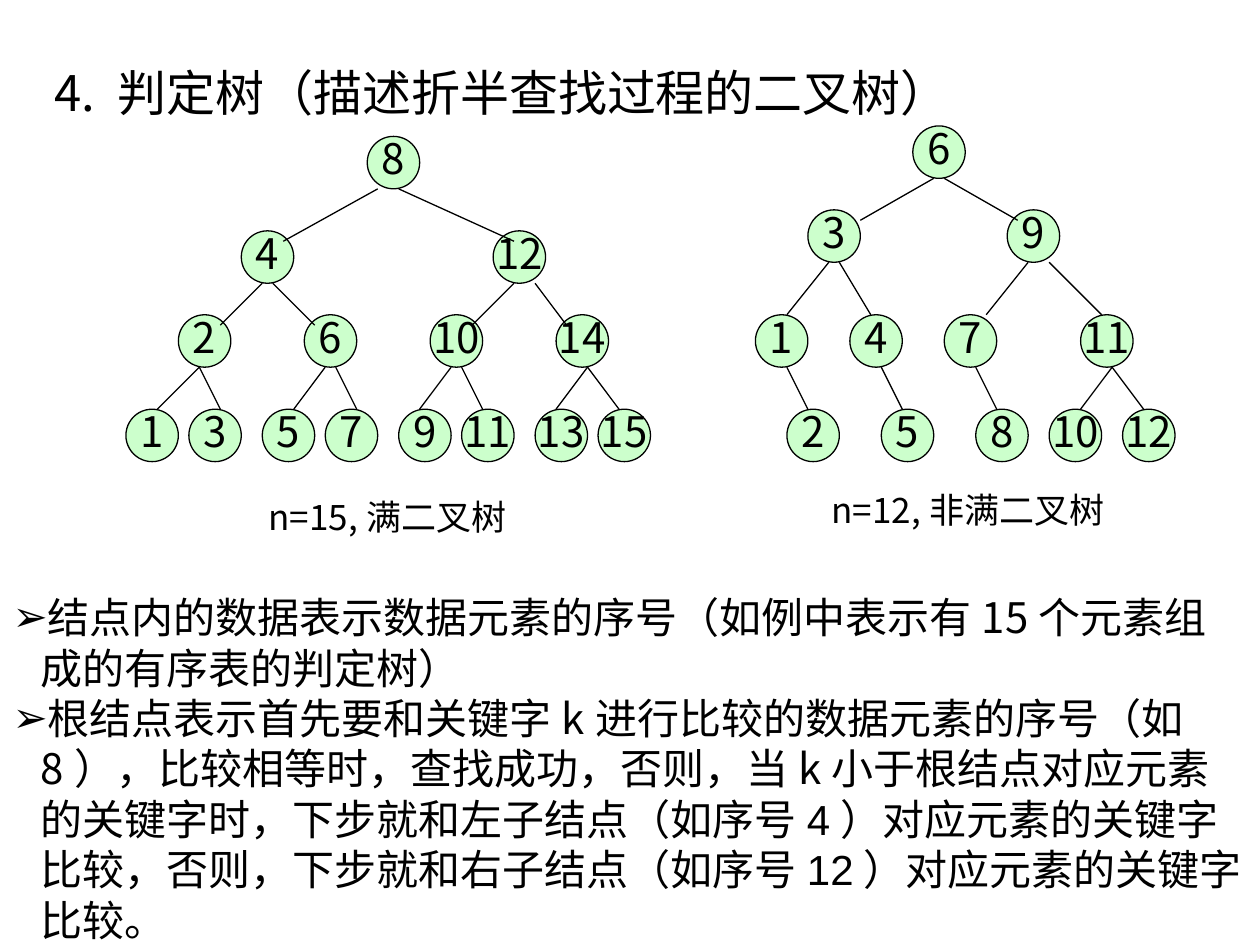
"""Build a slide on decision trees for binary search."""
import pptx
import pptx.dml.color
import pptx.enum.shapes
import pptx.enum.text
import pptx.oxml
import pptx.oxml.ns
import pptx.util
from pptx.util import Cm

COLORS = {"ink": "000000", "node": "CCFFCC"}
FONT = "Noto Sans CJK SC"
UNIT = 0.2115
NODE_SIZE = 5

TREES = [
    {
        "rows": {
            13: {8: 35},
            22: {4: 23, 12: 47},
            30: {2: 17, 6: 29, 10: 41, 14: 53},
            39: {1: 12, 3: 18, 5: 25, 7: 31, 9: 38, 11: 44, 13: 51, 15: 57},
        },
        "edges": [
            (36, 18, 27, 23), (38, 18, 49, 23),
            (25, 27, 21, 31), (26, 27, 30, 31), (49, 27, 45, 31), (51, 27, 54, 31),
            (19, 35, 15, 39), (19, 35, 21, 39), (31, 35, 28, 39), (32, 35, 34, 39),
            (43, 35, 40, 39), (44, 35, 46, 39), (56, 35, 53, 39), (56, 35, 59, 39),
        ],
        "caption": ("n=15,满二叉树", 5.16, 9.86, 5.33),
    },
    {
        "rows": {
            12: {6: 87},
            20: {3: 77, 9: 96},
            30: {1: 72, 4: 81, 7: 90, 11: 103},
            39: {2: 75, 5: 84, 8: 93, 10: 100, 12: 107},
        },
        "edges": [
            (89, 17, 82, 21), (90, 17, 97, 21),
            (79, 25, 75, 30), (80, 25, 83, 30), (98, 25, 94, 30), (100, 25, 105, 30),
            (75, 35, 77, 39), (84, 35, 86, 39), (93, 35, 95, 39),
            (106, 35, 103, 39), (106, 35, 109, 39),
        ],
        "caption": ("n=12,非满二叉树", 16.51, 9.73, 6.15),
    },
]

BULLETS = [
    [("结点内的数据表示数据元素的序号（如例中表示有15个元素组成的有序表的判定树）", FONT)],
    [
        ("根结点表示首先要和关键字k进行比较的", FONT),
        ("数据元素", "Arial"),
        ("的序号（如8），比较相等时，查找成功，否则，当k小于根结点对应元素的", FONT),
        ("关键字时，下步就和左子结点（如序号4）对应元素的关键字比较，"
         "否则，下步就和右子结点（如序号12）对应元素的关键字比较。", "Arial"),
    ],
]


def color(name):
    return pptx.dml.color.RGBColor.from_string(COLORS[name])


def format_span(span, size, font=FONT):
    span.font.size = pptx.util.Pt(size)
    span.font.name = font
    span.font.color.rgb = color("ink")
    east_asian = pptx.oxml.parse_xml(
        f'<a:ea {pptx.oxml.ns.nsdecls("a")} typeface="{FONT}"/>')
    span.font._element.find(pptx.oxml.ns.qn("a:latin")).addnext(east_asian)


deck = pptx.Presentation()
deck.slide_width, deck.slide_height = Cm(25.4), Cm(19.05)
page = deck.slides.add_slide(deck.slide_layouts[1])

title = page.shapes.title
title.left, title.top, title.width, title.height = Cm(0.84), Cm(1.12), Cm(19.46), Cm(1.47)
title.text_frame.text = "4. 判定树（描述折半查找过程的二叉树）"
title.text_frame.auto_size = pptx.enum.text.MSO_AUTO_SIZE.NONE
title.text_frame.vertical_anchor = pptx.enum.text.MSO_ANCHOR.MIDDLE
title.text_frame.paragraphs[0].alignment = pptx.enum.text.PP_ALIGN.LEFT
format_span(title.text_frame.paragraphs[0].runs[0], 28)

for tree in TREES:
    for top, row in tree["rows"].items():
        for number, left in row.items():
            node = page.shapes.add_shape(
                pptx.enum.shapes.MSO_SHAPE.OVAL, Cm(left * UNIT), Cm(top * UNIT),
                Cm(NODE_SIZE * UNIT), Cm(NODE_SIZE * UNIT))
            node.shadow.inherit = False
            node.fill.solid()
            node.fill.fore_color.rgb = color("node")
            node.line.color.rgb = color("ink")
            node.line.width = pptx.util.Pt(0.75)
            node.text_frame.text = str(number)
            node.text_frame.word_wrap = False
            node.text_frame.vertical_anchor = pptx.enum.text.MSO_ANCHOR.MIDDLE
            para = node.text_frame.paragraphs[0]
            para.alignment = pptx.enum.text.PP_ALIGN.CENTER
            para.line_spacing = 0.8
            format_span(para.runs[0], 24)

    for edge in tree["edges"]:
        branch = page.shapes.add_connector(
            pptx.enum.shapes.MSO_CONNECTOR.STRAIGHT, *[Cm(value * UNIT) for value in edge])
        branch.line.color.rgb = color("ink")
        branch.line.width = pptx.util.Pt(0.75)
        branch._element.spPr.append(
            pptx.oxml.parse_xml(f'<a:effectLst {pptx.oxml.ns.nsdecls("a")}/>'))

    text, left, top, width = tree["caption"]
    caption = page.shapes.add_textbox(Cm(left), Cm(top), Cm(width), Cm(1.12))
    caption.text_frame.word_wrap = True
    caption.text_frame.text = text
    format_span(caption.text_frame.paragraphs[0].runs[0], 20)

body = page.placeholders[1]
body.left, body.top, body.width, body.height = Cm(0), Cm(11.8), Cm(25.4), Cm(7.25)
body.text_frame.auto_size = pptx.enum.text.MSO_AUTO_SIZE.NONE
for index, bullet in enumerate(BULLETS):
    para = body.text_frame.paragraphs[0] if index == 0 else body.text_frame.add_paragraph()
    properties = para._element.get_or_add_pPr()
    properties.set("marL", str(Cm(0.57)))
    properties.set("indent", str(-Cm(0.57)))
    properties.append(pptx.oxml.parse_xml(
        f'<a:buChar {pptx.oxml.ns.nsdecls("a")} char="➢"/>'))
    para.space_before = pptx.util.Pt(0)
    para.line_spacing = pptx.util.Pt(28.8)
    for text, font in bullet:
        span = para.add_run()
        span.text = text
        format_span(span, 24, font)

deck.save("out.pptx")
